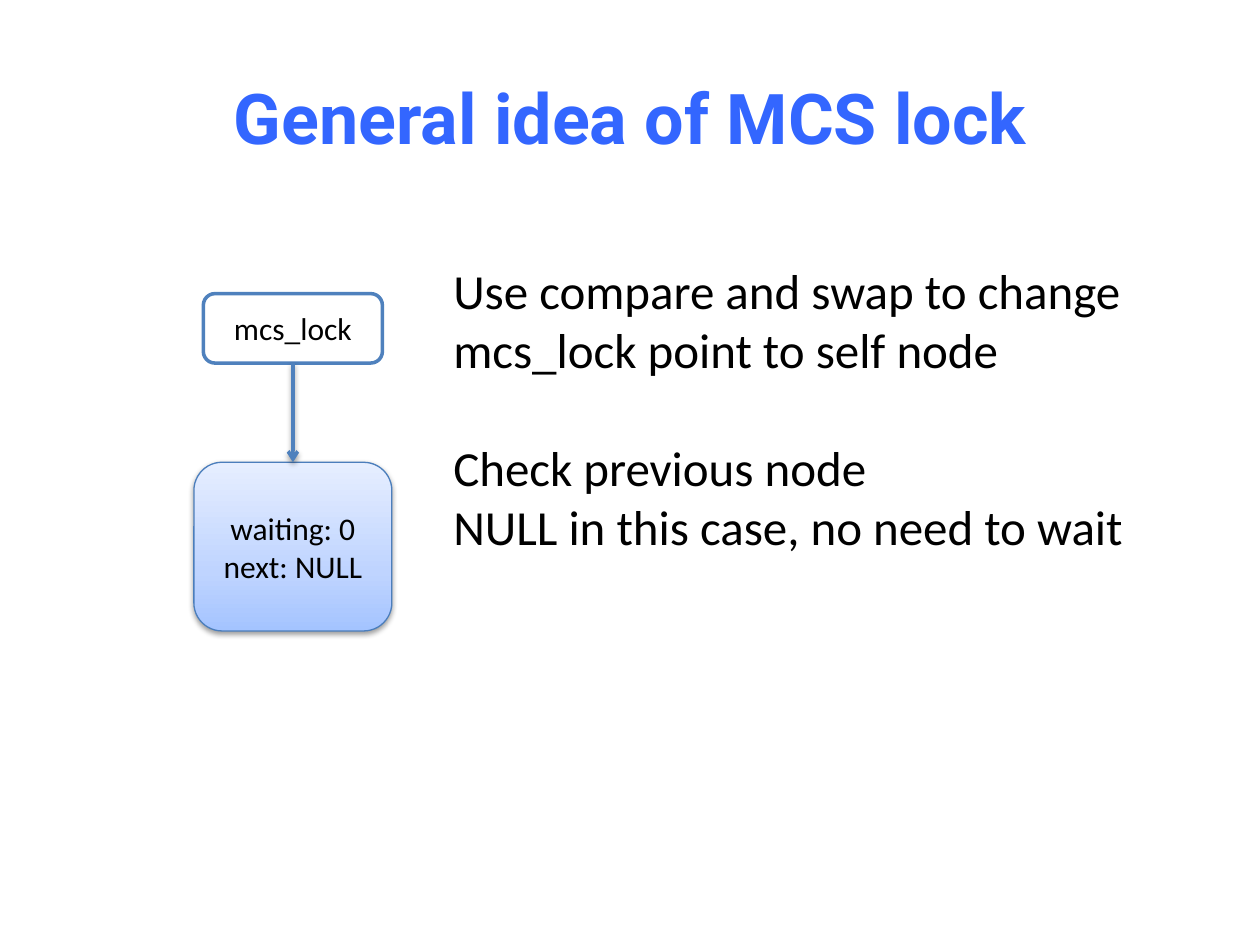
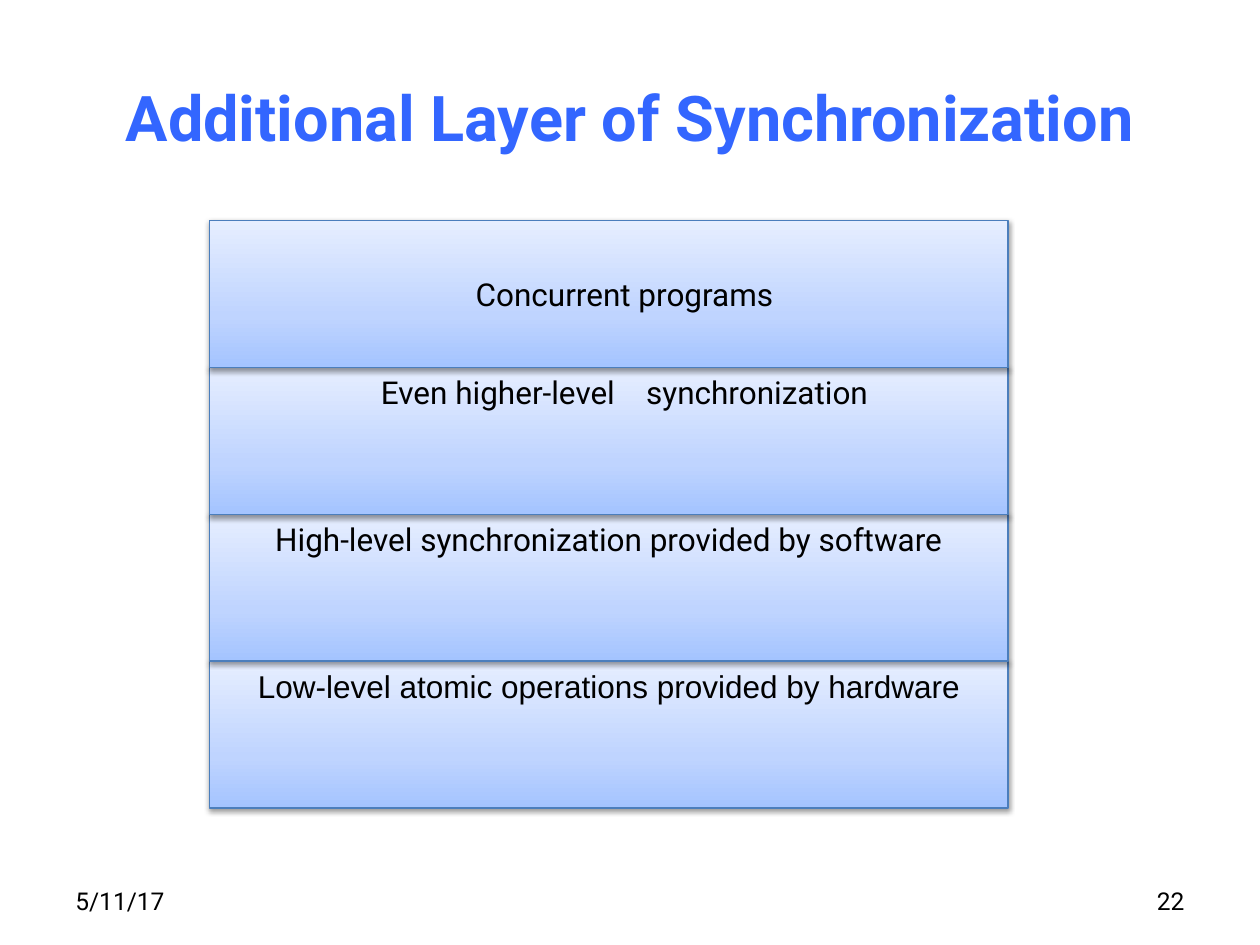
import copy
from dataclasses import dataclass

import pptx
import pptx.dml.color
import pptx.enum.shapes
import pptx.enum.text
import pptx.oxml.ns
import pptx.util
from lxml import etree

Cm = pptx.util.Cm
Pt = pptx.util.Pt
RGB = pptx.dml.color.RGBColor.from_string
qn = pptx.oxml.ns.qn
ALIGN = pptx.enum.text.PP_ALIGN
ANCHOR = pptx.enum.text.MSO_ANCHOR
SHAPE = pptx.enum.shapes.MSO_SHAPE


@dataclass(frozen=True)
class Theme:
    title_color: str = "3366FF"
    text_color: str = "000000"
    lock_fill: str = "FFFFFF"
    accent: str = "4F81BD"
    edge: str = "4B7EBC"
    gradient: tuple = ((0, "A4C4FF"), (0.35, "BFD4FF"), (1, "E6EEFF"))
    head_font: str = "Roboto"
    body_font: str = "Calibri"
    plain_font: str = "Arial"
    title_size: int = 40
    long_title_size: int = 36
    body_size: int = 28
    label_size: int = 18
    footer_size: int = 14


THEME = Theme()

# Boxes: left, top, width, height in centimetres
TITLE_BOX = (1.27, 0.76, 22.86, 3.18)
LOCK_BOX = (3.91, 5.92, 3.99, 6.8)
STEPS_BOX = (8.89, 5.13, 14.17, 6.25)
LAYERS_BOX = (4.23, 4.44, 16.09, 11.85)
FOOTER_BOX = (1.27, 17.65, 22.86, 1.02)


# Shared styling
def write(shape, lines, font, size, align=ALIGN.CENTER, anchor=ANCHOR.MIDDLE,
          color=THEME.text_color, bold=False):
    frame = shape.text_frame
    frame.word_wrap = True
    frame.vertical_anchor = anchor
    frame.text = "\n".join(lines)
    for para in frame.paragraphs:
        para.alignment = align
        para.font.name = font
        para.font.size = Pt(size)
        para.font.bold = bold
        para.font.color.rgb = RGB(color)
    return frame


def add_shadow(shape):
    properties = shape.element.spPr
    effects = properties.find(qn("a:effectLst"))
    if effects is None:
        effects = etree.SubElement(properties, qn("a:effectLst"))
    shadow = etree.SubElement(effects, qn("a:outerShdw"), blurRad="40000",
                              dist="20000", dir="5400000", rotWithShape="0")
    color = etree.SubElement(shadow, qn("a:srgbClr"), val="000000")
    etree.SubElement(color, qn("a:alpha"), val="38000")


def add_box(page, kind, box, line_color, line_width):
    shape = page.shapes.add_shape(kind, *map(Cm, box))
    shape.line.color.rgb = RGB(line_color)
    shape.line.width = Pt(line_width)
    shape.shadow.inherit = False
    return shape


def add_gradient_box(page, kind, box):
    shape = add_box(page, kind, box, THEME.edge, 0.75)
    shape.fill.gradient()
    shape.fill.gradient_angle = 90
    stops = shape.element.spPr.find(qn("a:gradFill")).find(qn("a:gsLst"))
    stops.append(copy.deepcopy(stops[0]))
    for stop, (position, color) in zip(shape.fill.gradient_stops, THEME.gradient):
        stop.position = position
        stop.color.rgb = RGB(color)
    add_shadow(shape)
    return shape


def add_page(deck, title, size):
    page = deck.slides.add_slide(deck.slide_layouts[5])
    holder = page.shapes.title
    holder.left, holder.top, holder.width, holder.height = map(Cm, TITLE_BOX)
    write(holder, [title], THEME.head_font, size, color=THEME.title_color, bold=True)
    return page


# Lock pointing to its queue node
def add_lock_diagram(page, box):
    left, top, width, height = box
    lock_width, lock_height, node_height = 3.61, 1.4, 3.4
    lock = add_box(page, SHAPE.ROUNDED_RECTANGLE,
                   (left + (width - lock_width) / 2, top, lock_width, lock_height),
                   THEME.accent, 2)
    lock.fill.solid()
    lock.fill.fore_color.rgb = RGB(THEME.lock_fill)
    write(lock, ["mcs_lock"], THEME.body_font, THEME.label_size)

    node = add_gradient_box(page, SHAPE.ROUNDED_RECTANGLE,
                            (left, top + height - node_height, width, node_height))
    write(node, ["waiting: 0", "next: NULL"], THEME.body_font, THEME.label_size)

    pointer = page.shapes.add_connector(
        pptx.enum.shapes.MSO_CONNECTOR.STRAIGHT, 0, 0, 0, 0)
    pointer.begin_connect(lock, 2)
    pointer.end_connect(node, 0)
    pointer.line.color.rgb = RGB(THEME.accent)
    pointer.line.width = Pt(2)
    etree.SubElement(pointer.element.spPr.find(qn("a:ln")), qn("a:tailEnd"), type="arrow")
    add_shadow(pointer)


def add_steps(page, box):
    steps = page.shapes.add_textbox(*map(Cm, box))
    frame = write(steps, ["Use compare and swap to change",
                          "mcs_lock point to self node",
                          "Check previous node",
                          "NULL in this case, no need to wait"],
                  THEME.body_font, THEME.body_size, ALIGN.LEFT, ANCHOR.TOP)
    frame.word_wrap = False
    frame.auto_size = pptx.enum.text.MSO_AUTO_SIZE.SHAPE_TO_FIT_TEXT
    frame.paragraphs[2].space_before = Pt(34)


# Stack of layers, drawn from the bottom up so each shades the one below
def add_layers(page, box):
    left, top, width, height = box
    shifted = 0.88
    normal = 0.25
    layers = [
        ("Concurrent programs", THEME.head_font, ANCHOR.MIDDLE, shifted),
        ("Even higher-level", THEME.head_font, ANCHOR.TOP, shifted),
        ("High-level synchronization provided by software",
         THEME.head_font, ANCHOR.TOP, normal),
        ("Low-level atomic operations provided by hardware",
         THEME.plain_font, ANCHOR.TOP, normal),
    ]
    step = height / len(layers)
    frames = []
    for row, (label, font, anchor, margin) in reversed(list(enumerate(layers))):
        layer = add_gradient_box(page, SHAPE.RECTANGLE,
                                 (left, top + row * step, width, step))
        frame = write(layer, [label], font, THEME.label_size, anchor=anchor)
        frame.margin_left = Cm(margin)
        frames.insert(0, frame)

    # One widened space sets the last word apart
    para = frames[1].paragraphs[0]
    gap = para.add_run()
    gap.text = " "
    gap.font.element.set("spc", "1330") if hasattr(gap.font, "element") else \
        gap._r.get_or_add_rPr().set("spc", "1330")
    para.add_run().text = "synchronization"


def add_footer(page, box, date, number):
    left, top, width, height = box
    part_width = 5.93
    parts = [(date, left, ALIGN.LEFT),
             (number, left + width - part_width, ALIGN.RIGHT)]
    for text, part_left, align in parts:
        part = page.shapes.add_textbox(*map(Cm, (part_left, top, part_width, height)))
        write(part, [text], THEME.head_font, THEME.footer_size, align)


# Slides
def build_lock_page(deck):
    page = add_page(deck, "General idea of MCS lock", THEME.title_size)
    add_lock_diagram(page, LOCK_BOX)
    add_steps(page, STEPS_BOX)


def build_layers_page(deck):
    page = add_page(deck, "Additional Layer of Synchronization", THEME.long_title_size)
    add_footer(page, FOOTER_BOX, "5/11/17", "22")
    add_layers(page, LAYERS_BOX)


def main():
    deck = pptx.Presentation()
    deck.slide_width, deck.slide_height = Cm(25.4), Cm(19.05)
    build_lock_page(deck)
    build_layers_page(deck)
    deck.save("out.pptx")


if __name__ == "__main__":
    main()
